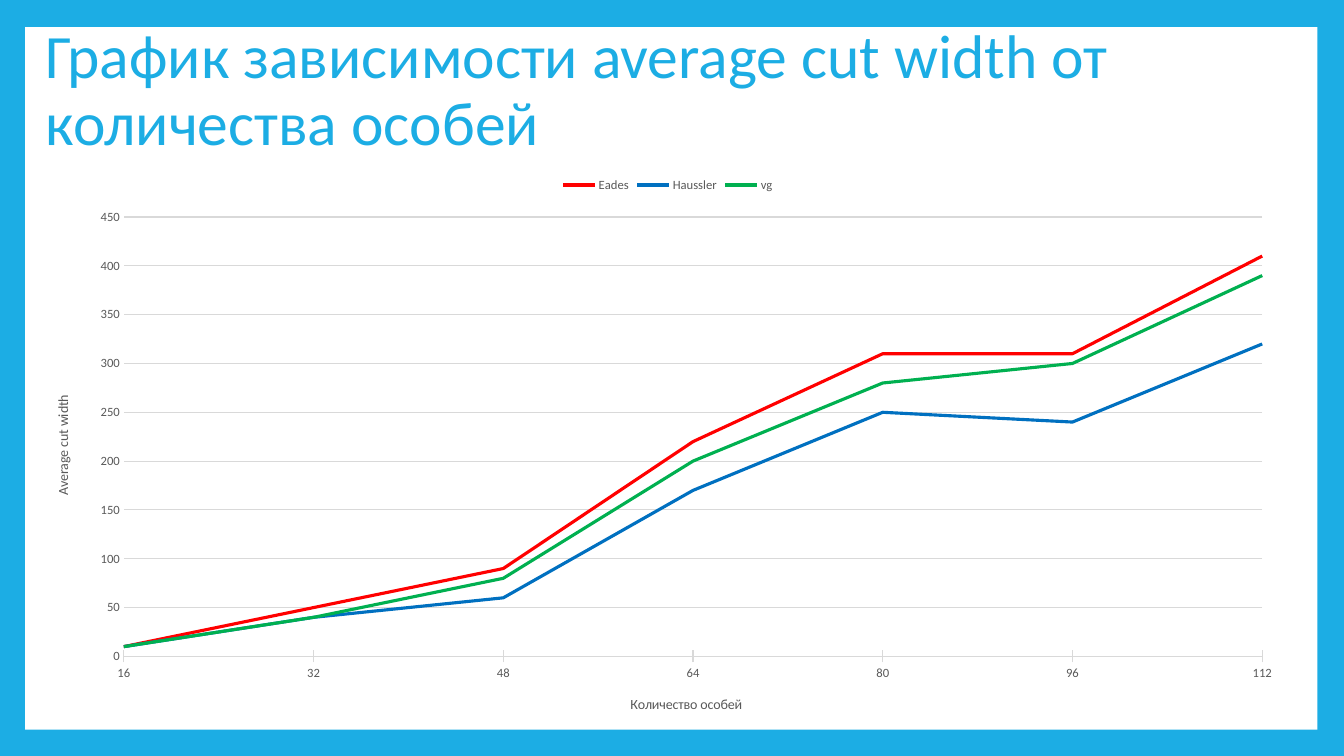
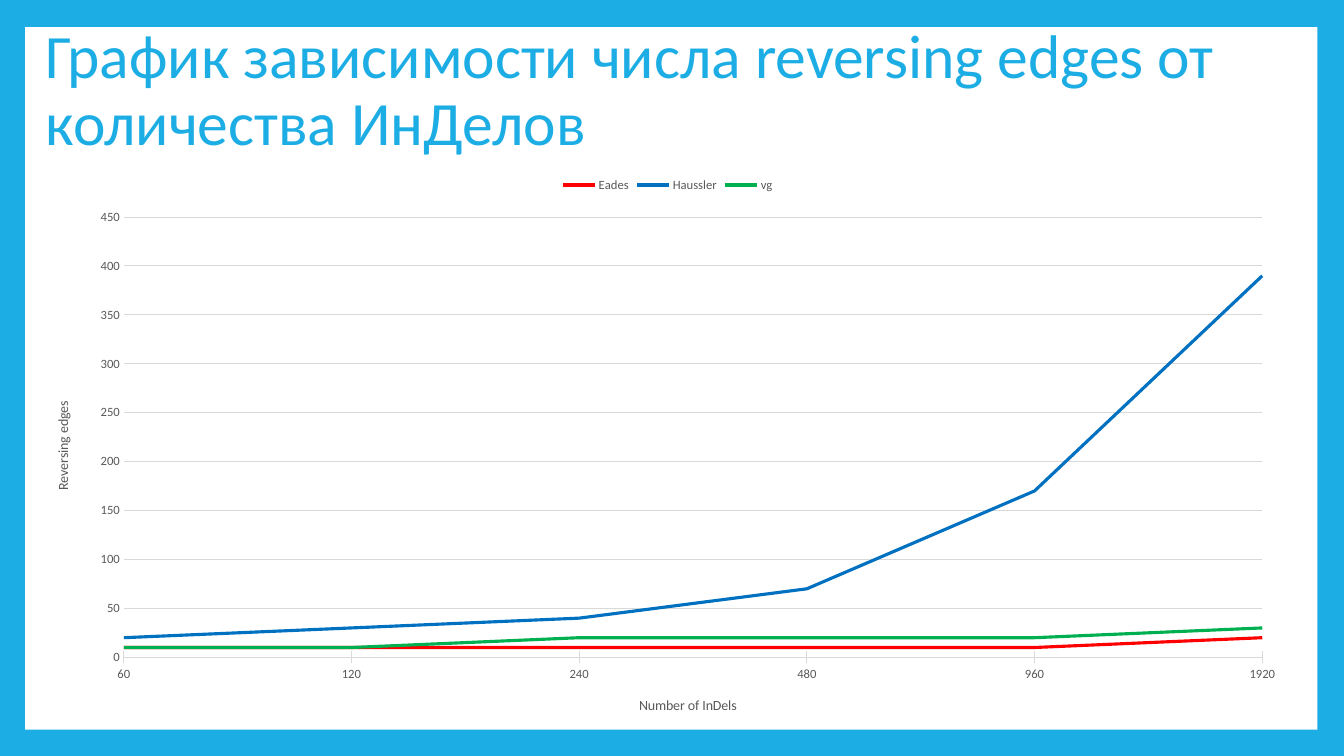
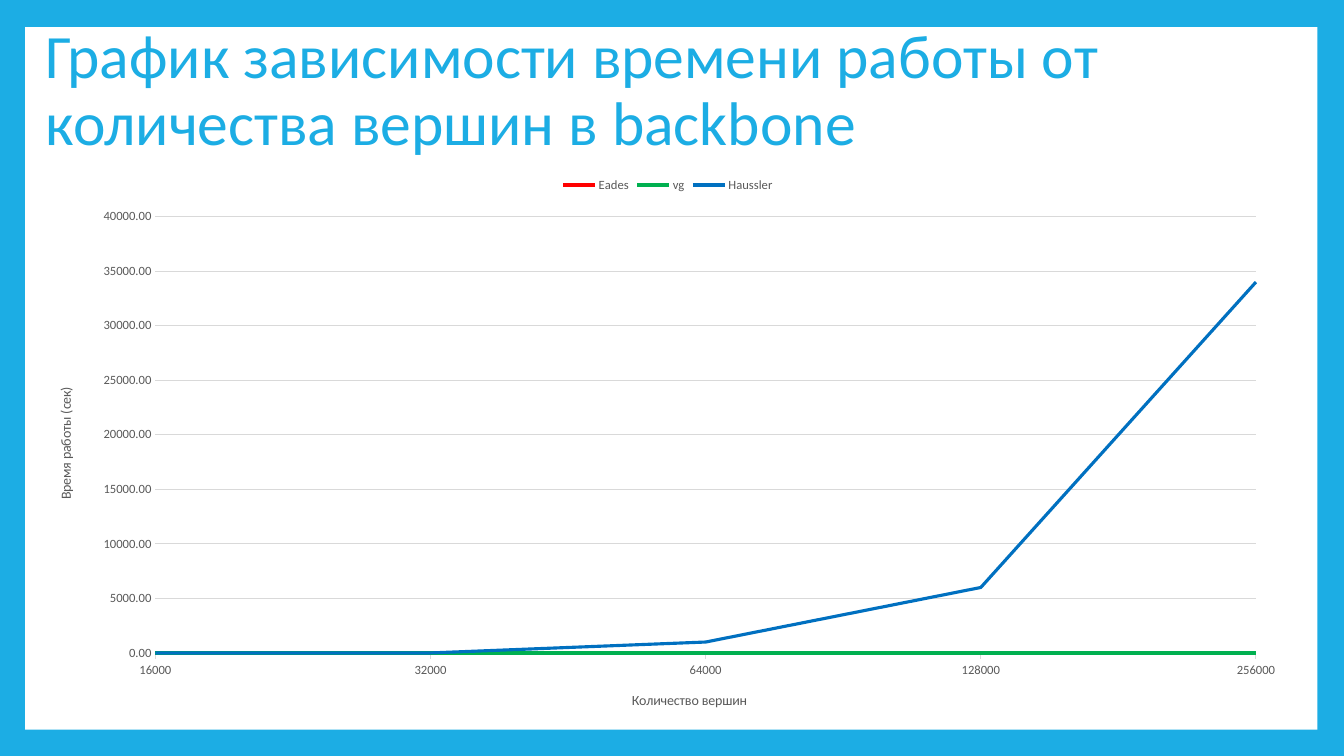
from dataclasses import dataclass

from lxml.etree import SubElement
from pptx import Presentation
from pptx.chart.data import CategoryChartData as ChartData
from pptx.dml.color import RGBColor as RGB
from pptx.enum.chart import XL_CHART_TYPE as Kind
from pptx.enum.chart import XL_LEGEND_POSITION as Spot
from pptx.enum.chart import XL_TICK_MARK as Tick
from pptx.enum.shapes import MSO_SHAPE as Form
from pptx.enum.text import MSO_ANCHOR as Anchor
from pptx.enum.text import PP_ALIGN as Align
from pptx.oxml.ns import qn
from pptx.util import Pt


@dataclass(frozen=True)
class Theme:
    font: str = "Calibri"
    accent: str = "1CADE4"
    paper: str = "FFFFFF"
    ink: str = "595959"
    rule: str = "D9D9D9"
    head: int = 44
    label: int = 10
    small: int = 9
    thin: float = 0.75
    thick: float = 2.25


THEME = Theme()
LINES = {"Eades": "FF0000", "Haussler": "0070C0", "vg": "00B050"}
LEFT, WIDE = 25.2, 903.6
HEAD_TOP, HEAD_HIGH = 13, 105.8
CHART_TOP = HEAD_TOP + HEAD_HIGH


def style(font, size, color):
    font.name, font.size, font.bold = THEME.font, Pt(size), False
    font.color.rgb = RGB.from_string(color)


def write(frame, text, size=THEME.label, color=THEME.ink, align=None, gap=None):
    """Fill a text frame with one formatted paragraph."""
    para = frame.paragraphs[0]
    run = para.add_run()
    run.text = text
    style(run.font, size, color)
    if align is not None:
        para.alignment = align
    if gap is not None:
        para.line_spacing = gap


def stroke(line, color, width):
    line.color.rgb = RGB.from_string(color)
    line.width = Pt(width)


def fit(chart, **box):
    """Place the inner plot area by fractions of the chart."""
    area = chart.element.xpath(".//c:plotArea")[0]
    for old in area.xpath("c:layout"):
        area.remove(old)
    layout = SubElement(area, qn("c:layout"))
    area.insert(0, layout)
    manual = SubElement(layout, qn("c:manualLayout"))
    SubElement(manual, qn("c:layoutTarget")).set("val", "inner")
    for side in "xy":
        SubElement(manual, qn(f"c:{side}Mode")).set("val", "edge")
    for name, part in box.items():
        SubElement(manual, qn(f"c:{name}")).set("val", str(part))


def span(chart):
    """Let the lines start and end at the edges of the plot."""
    axis = chart.element.xpath(".//c:valAx")[0]
    for old in axis.xpath("c:crossBetween"):
        axis.remove(old)
    cross = SubElement(axis, qn("c:crossBetween"))
    cross.set("val", "midCat")
    axis.xpath("c:crosses")[0].addnext(cross)


class Deck:
    def __init__(self):
        self.show = Presentation()
        self.show.slide_width, self.show.slide_height = Pt(960), Pt(540)
        self.layout = self.show.slide_layouts[5]
        self.slide = None
        fill = self.show.slide_master.background.fill
        fill.solid()
        fill.fore_color.rgb = RGB.from_string(THEME.accent)
        title = self.layout.placeholders[0]
        title.left, title.top = Pt(LEFT), Pt(HEAD_TOP)
        title.width, title.height = Pt(WIDE), Pt(HEAD_HIGH)

    def add(self):
        first = self.slide is None
        self.slide = self.show.slides.add_slide(self.layout)
        if first:
            self.panel()

    def panel(self):
        """Put the white panel on the master, behind everything."""
        panel = self.slide.shapes.add_shape(
            Form.RECTANGLE, Pt(18), Pt(19.4), Pt(923), Pt(501.8))
        panel.shadow.inherit = False
        panel.fill.solid()
        panel.fill.fore_color.rgb = RGB.from_string(THEME.paper)
        panel.line.fill.background()
        panel.element.xpath(".//p:cNvPr")[0].set("id", "20")
        self.show.slide_master.shapes.element.insert(2, panel.element)

    def title(self, text):
        frame = self.slide.shapes.title.text_frame
        frame.word_wrap = True
        frame.vertical_anchor = Anchor.MIDDLE
        write(frame, text, size=THEME.head, color=THEME.accent,
              align=Align.LEFT, gap=0.9)

    def axis(self, axis, name, tick):
        axis.major_tick_mark, axis.minor_tick_mark = tick, Tick.NONE
        style(axis.tick_labels.font, THEME.small, THEME.ink)
        write(axis.axis_title.text_frame, name)

    def chart(self, cats, rows, names, high, top, step,
              tick=Tick.CROSS, form="General", x=0.07, w=0.9):
        data = ChartData(number_format=form)
        data.categories = [str(cat) for cat in cats]
        for name, vals in rows.items():
            data.add_series(name, vals)
        chart = self.slide.shapes.add_chart(
            Kind.LINE, Pt(LEFT), Pt(CHART_TOP), Pt(WIDE), Pt(high), data).chart
        style(chart.font, THEME.label, "000000")
        chart.has_title = False
        chart.has_legend = True
        chart.legend.position = Spot.TOP
        chart.legend.include_in_layout = False
        style(chart.legend.font, THEME.small, THEME.ink)

        cat, val = chart.category_axis, chart.value_axis
        self.axis(cat, names[0], tick)
        self.axis(val, names[1], Tick.NONE)
        stroke(cat.format.line, THEME.rule, THEME.thin)
        val.format.line.fill.background()
        stroke(val.major_gridlines.format.line, THEME.rule, THEME.thin)
        val.minimum_scale, val.maximum_scale, val.major_unit = 0, top, step
        val.tick_labels.number_format = form
        val.tick_labels.number_format_is_linked = False
        turn = val.axis_title.element.xpath(".//a:bodyPr")[0]
        turn.set("rot", "-5400000")
        turn.set("vert", "horz")

        plot = chart.plots[0]
        plot.vary_by_categories = False
        for row in plot.series:
            row.smooth = False
            stroke(row.format.line, LINES[row.name], THEME.thick)
        span(chart)
        fit(chart, x=x, y=0.09, w=w, h=0.78)


def main():
    deck = Deck()

    deck.add()
    deck.title("График зависимости average cut width от количества особей")
    deck.chart(
        range(16, 113, 16),
        {"Eades": [10, 50, 90, 220, 310, 310, 410],
         "Haussler": [10, 40, 60, 170, 250, 240, 320],
         "vg": [10, 40, 80, 200, 280, 300, 390]},
        ("Количество особей", "Average cut width"),
        high=402.5, top=450, step=50)

    deck.add()
    deck.title("График зависимости числа reversing edges от количества ИнДелов")
    deck.chart(
        [60 * 2 ** n for n in range(6)],
        {"Eades": [10, 10, 10, 10, 10, 20],
         "Haussler": [20, 30, 40, 70, 170, 390],
         "vg": [10, 10, 20, 20, 20, 30]},
        ("Number of InDels", "Reversing edges"),
        high=403.2, top=450, step=50)

    deck.add()
    deck.title("График зависимости времени работы от количества вершин в backbone")
    deck.chart(
        [16000 * 2 ** n for n in range(5)],
        {"Eades": [0] * 5,
         "vg": [0] * 5,
         "Haussler": [0, 0, 1000, 6000, 34000]},
        ("Количество вершин", "Время работы (сек)"),
        high=399.6, top=40000, step=5000,
        tick=Tick.OUTSIDE, form="0.00", x=0.095, w=0.87)

    deck.show.save("out.pptx")


if __name__ == "__main__":
    main()
